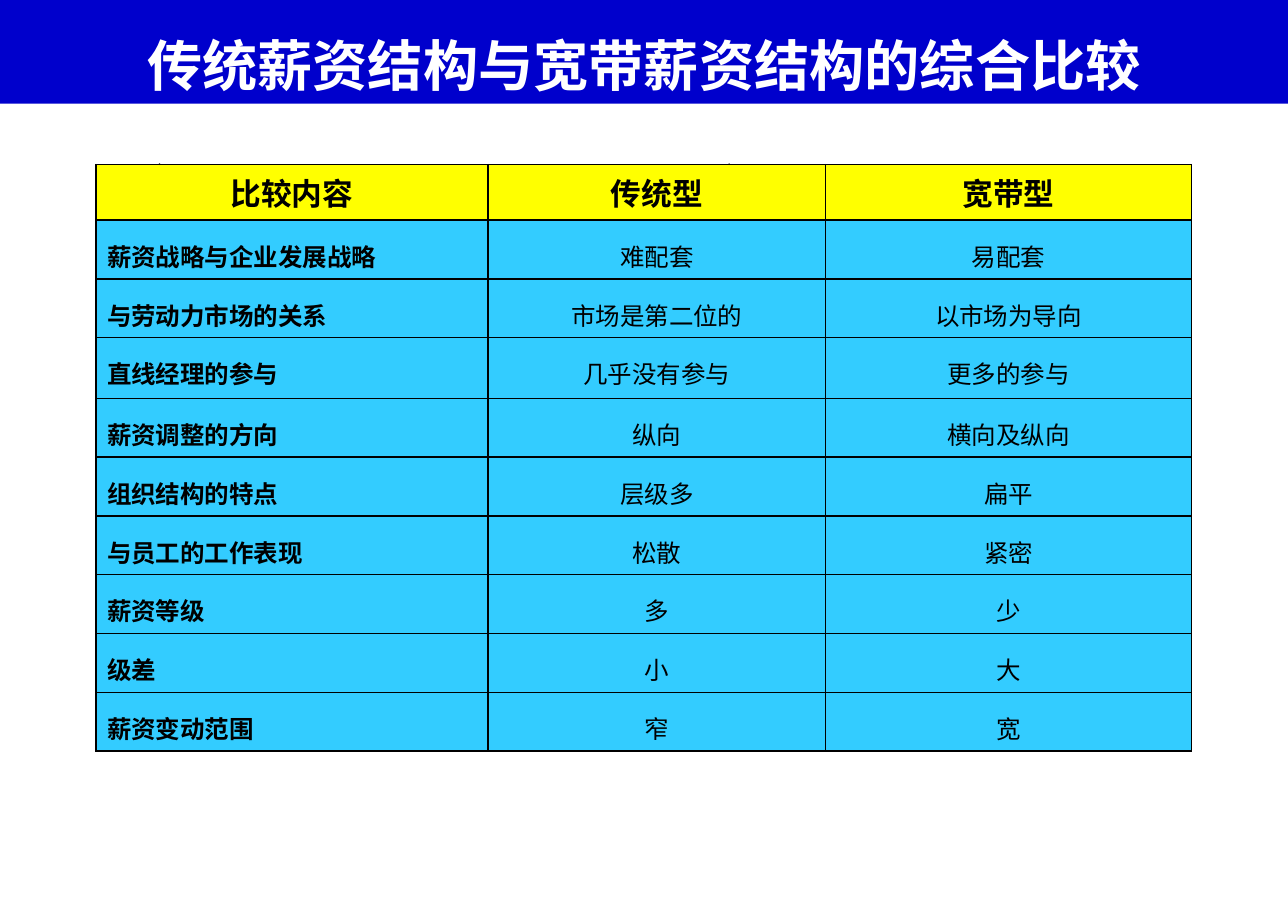
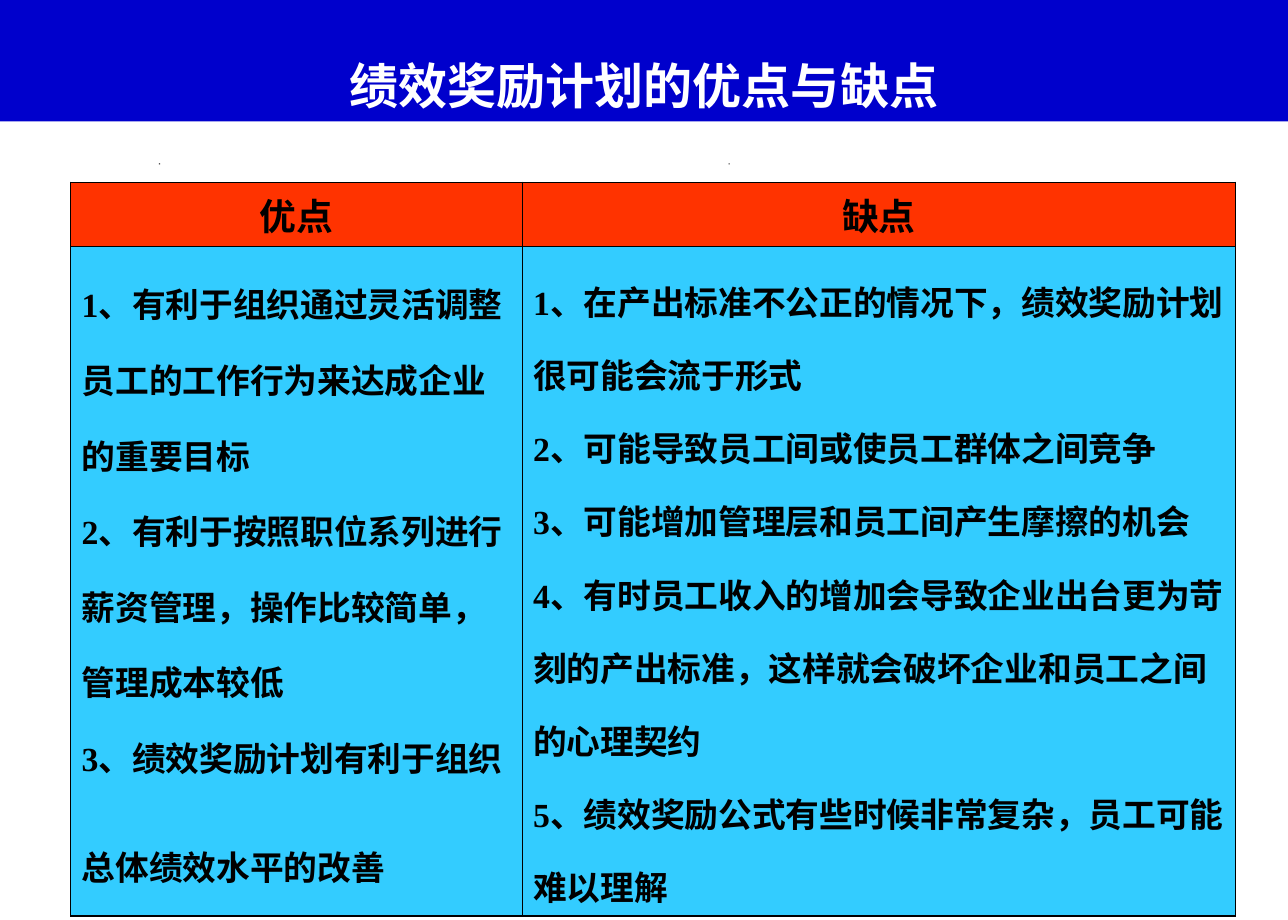
from pptx import Presentation
from pptx.dml.color import RGBColor
from pptx.enum.shapes import MSO_SHAPE
from pptx.enum.text import MSO_ANCHOR, MSO_AUTO_SIZE, PP_ALIGN
from pptx.oxml.ns import qn
from pptx.util import Inches, Pt
from lxml import etree

RECT = MSO_SHAPE.RECTANGLE
LEFT, CENTER = PP_ALIGN.LEFT, PP_ALIGN.CENTER
TOP, MIDDLE, BOTTOM = MSO_ANCHOR.TOP, MSO_ANCHOR.MIDDLE, MSO_ANCHOR.BOTTOM

THEME = {
    "band": RGBColor.from_string("0000CC"),
    "white": RGBColor.from_string("FFFFFF"),
    "black": RGBColor.from_string("000000"),
    "yellow": RGBColor.from_string("FFFF00"),
    "red": RGBColor.from_string("FF3300"),
    "sky": RGBColor.from_string("33CCFF"),
    "cjk": "Noto Sans CJK SC",
    "latin": "Times New Roman",
    "title_wide": 36, "title": 32,
    "header_small": 20, "header": 24,
    "body_small": 16, "body": 22, "spacer": 33,
    "border": 1,
}

comparison = [
    ("薪资战略与企业发展战略", "难配套", "易配套"),
    ("与劳动力市场的关系", "市场是第二位的", "以市场为导向"),
    ("直线经理的参与", "几乎没有参与", "更多的参与"),
    ("薪资调整的方向", "纵向", "横向及纵向"),
    ("组织结构的特点", "层级多", "扁平"),
    ("与员工的工作表现", "松散", "紧密"),
    ("薪资等级", "多", "少"),
    ("级差", "小", "大"),
    ("薪资变动范围", "窄", "宽"),
]
pros = [
    "1、有利于组织通过灵活调整员工的工作行为来达成企业的重要目标",
    "2、有利于按照职位系列进行薪资管理，操作比较简单，管理成本较低",
    "3、绩效奖励计划有利于组织总体绩效水平的改善",
]
cons = [
    "1、在产出标准不公正的情况下，绩效奖励计划很可能会流于形式",
    "2、可能导致员工间或使员工群体之间竞争",
    "3、可能增加管理层和员工间产生摩擦的机会",
    "4、有时员工收入的增加会导致企业出台更为苛刻的产出标准，这样就会破坏企业和员工之间的心理契约",
    "5、绩效奖励公式有些时候非常复杂，员工可能难以理解",
]

# Each slide: title band, then a table of a header row and body rows
slides = [
    {
        "title": "传统薪资结构与宽带薪资结构的综合比较",
        "band_height": 0.94, "title_size": THEME["title_wide"], "title_spacing": 3.2,
        "at": (0.87, 1.49), "cols": [3.55, 3.06, 3.31],
        "rows": [0.5] * 3 + [0.55] + [0.5] * 6,
        "header": ("比较内容", "传统型", "宽带型"),
        "header_fill": THEME["yellow"], "header_size": THEME["header_small"],
        "header_anchor": TOP,
        "body": [[[text] for text in row] for row in comparison],
        "size": THEME["body_small"], "bold": (True, False, False),
        "aligns": (LEFT, CENTER, CENTER), "spacing": (1.35, 1.35, 1.35),
        "indent": 0.43,
    },
    {
        "title": "绩效奖励计划的优点与缺点",
        "band_height": 1.1, "title_size": THEME["title"], "title_spacing": 3.3,
        "at": (0.64, 1.65), "cols": [4.09, 6.46], "rows": [0.42, 2.66],
        "header": ("优点", "缺点"),
        "header_fill": THEME["red"], "header_size": THEME["header"],
        "header_anchor": MIDDLE,
        "body": [[pros, cons]],
        "size": THEME["body"], "bold": (True, True),
        "aligns": (LEFT, LEFT), "spacing": (1.55, 1.5),
        "indent": 0,
    },
]


def add_run(p, text, size, bold, color, latin):
    r = p.add_run()
    r.text = text
    r.font.color.rgb = color
    for name, value in {"size": Pt(size), "bold": bold, "name": latin}.items():
        setattr(r.font, name, value)
    ea = etree.SubElement(r.font._element, qn("a:ea"))
    ea.set("typeface", THEME["cjk"])


def fill_cell(cell, texts, fill, size, bold, align, spacing, indent):
    for side in ("lnL", "lnR", "lnT", "lnB"):
        ln = etree.SubElement(cell._tc.get_or_add_tcPr(), qn(f"a:{side}"))
        ln.set("w", str(Pt(THEME["border"])))
        solid = etree.SubElement(ln, qn("a:solidFill"))
        etree.SubElement(solid, qn("a:srgbClr")).set("val", str(THEME["black"]))
    cell.fill.solid()
    cell.fill.fore_color.rgb = fill
    tf = cell.text_frame
    for i, text in enumerate(texts):
        p = tf.add_paragraph() if i else tf.paragraphs[0]
        p.alignment, p.line_spacing = align, spacing
        if indent:
            pPr = p._p.get_or_add_pPr()
            pPr.set("marL", str(Inches(indent)))
            pPr.set("indent", str(-Inches(indent)))
        add_run(p, text, size, bold, THEME["black"], THEME["latin"])


prs = Presentation()
prs.slide_width, prs.slide_height = Inches(35 / 3), Inches(25 / 3)

for page in slides:
    s = prs.slides.add_slide(prs.slide_layouts[5])

    # Title band
    title = s.shapes.title
    title.left, title.top = Inches(0), Inches(0)
    title.width, title.height = prs.slide_width, Inches(page["band_height"])
    title.fill.solid()
    title.fill.fore_color.rgb = THEME["band"]
    tf = title.text_frame
    frame = {
        "auto_size": MSO_AUTO_SIZE.NONE, "word_wrap": True,
        "vertical_anchor": BOTTOM,
        "margin_left": Inches(0.11), "margin_right": Inches(0.11),
        "margin_top": Inches(0.06), "margin_bottom": Inches(0.06),
    }
    for name, value in frame.items():
        setattr(tf, name, value)
    p = tf.paragraphs[0]
    p.alignment, p.line_spacing = CENTER, page["title_spacing"]
    add_run(p, page["title"], page["title_size"], True, THEME["white"], THEME["cjk"])

    # Small dots above the table
    for x in (1.44, 6.6):
        dot = s.shapes.add_shape(RECT, Inches(x), Inches(1.48), Inches(0.01), Inches(0.01))
        dot.shadow.inherit = False
        dot.fill.solid()
        dot.fill.fore_color.rgb = THEME["black"]
        dot.line.fill.background()

    # Table grid
    cols, rows = page["cols"], page["rows"]
    x, y = page["at"]
    table = s.shapes.add_table(len(rows), len(cols), Inches(x), Inches(y),
                               Inches(sum(cols)), Inches(sum(rows))).table
    table.first_row = table.horz_banding = False
    for col, width in zip(table.columns, cols):
        col.width = Inches(width)
    for row, height in zip(table.rows, rows):
        row.height = Inches(height)

    # Header and body cells
    for c, heading in enumerate(page["header"]):
        cell = table.cell(0, c)
        cell.vertical_anchor = page["header_anchor"]
        fill_cell(cell, [heading], page["header_fill"], page["header_size"],
                  True, CENTER, 1.0, page["indent"])
        for n, row in enumerate(page["body"], 1):
            fill_cell(table.cell(n, c), row[c], THEME["sky"], page["size"],
                      page["bold"][c], page["aligns"][c], page["spacing"][c],
                      page["indent"])

# A larger trailing space opens up the last line of the advantages
p = table.cell(1, 0).text_frame.paragraphs[-1]
add_run(p, " ", THEME["spacer"], False, THEME["black"], THEME["latin"])

prs.save("out.pptx")
